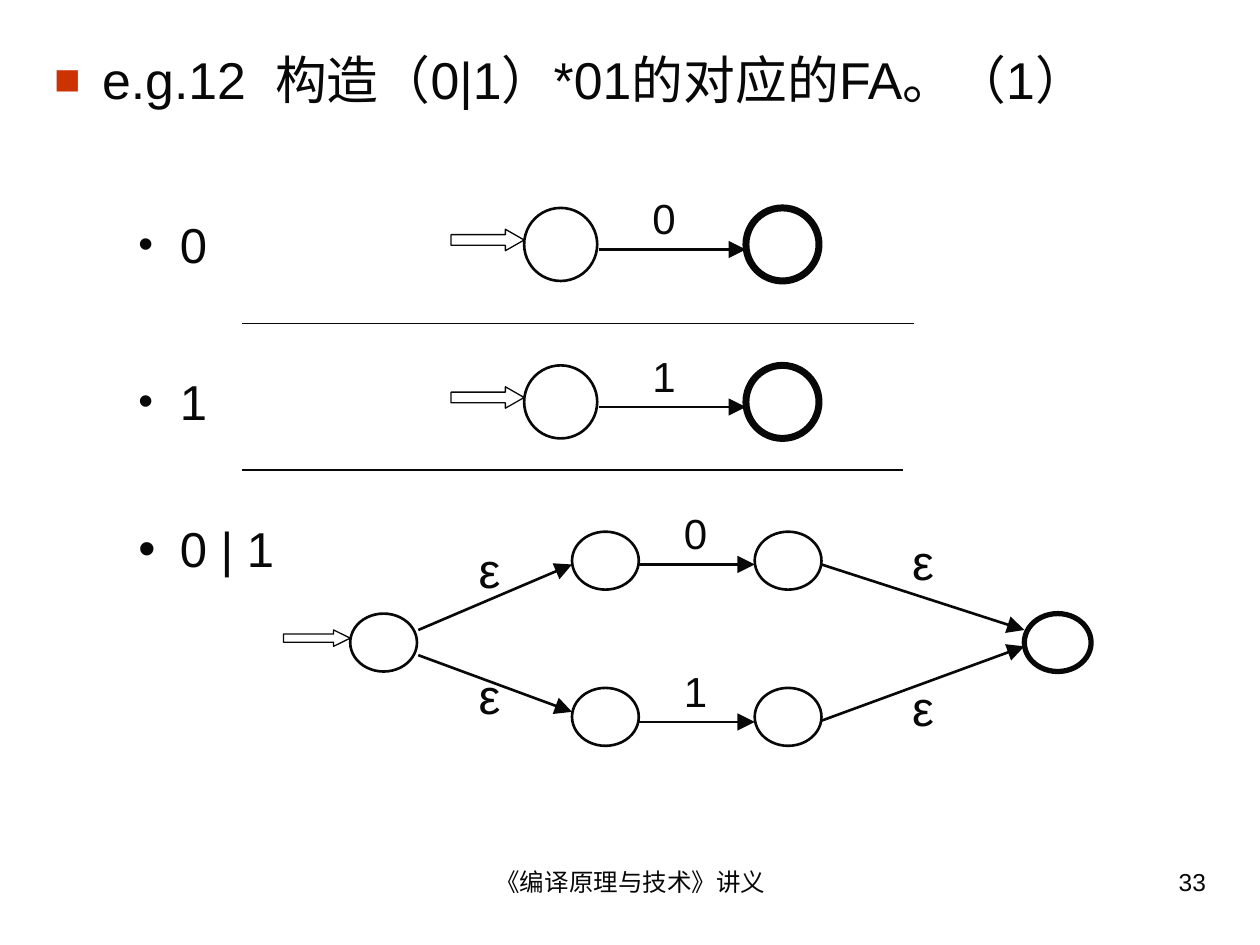
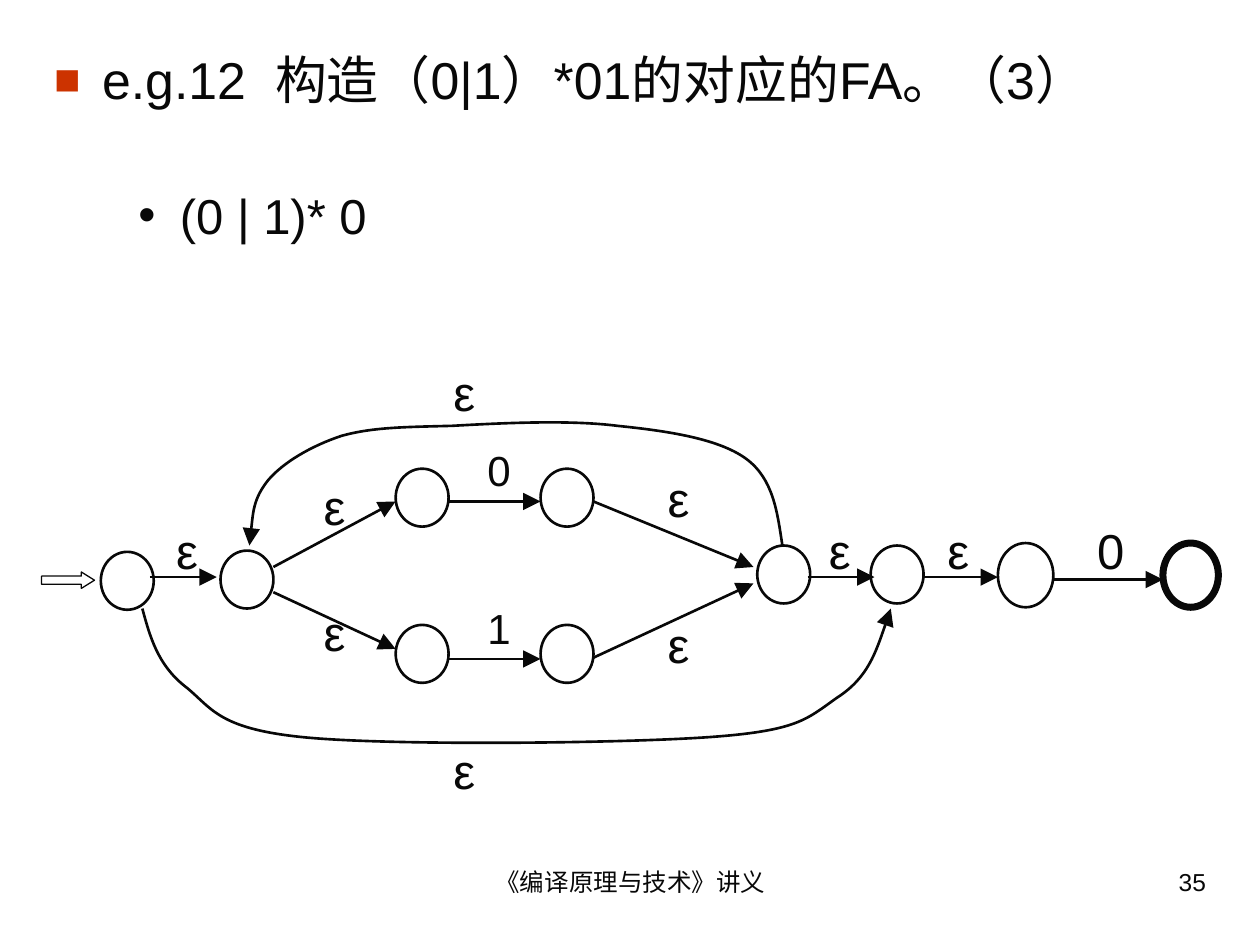
from dataclasses import dataclass
from typing import Any, NamedTuple

import pptx
import pptx.dml.color
import pptx.enum.shapes
import pptx.enum.text
import pptx.oxml.ns
import pptx.util

Inches = pptx.util.Inches
Pt = pptx.util.Pt
qn = pptx.oxml.ns.qn
SHAPE = pptx.enum.shapes.MSO_SHAPE
ALIGN = pptx.enum.text.PP_ALIGN
Point = tuple[float, float]


@dataclass(frozen=True)
class Theme:
    ink: str = "080808"
    accent: str = "CC3300"
    font: str = "Arial"
    head: float = 29.6
    large: float = 28
    mid: float = 24
    foot: float = 14
    thin: float = 0.75
    line: float = 1.5


THEME = Theme()


class Box(NamedTuple):
    left: float
    top: float
    width: float
    height: float


class Node(NamedTuple):
    box: Box
    weight: float = THEME.line


class Edge(NamedTuple):
    start: Point
    end: Point


class Label(NamedTuple):
    text: str
    left: float
    top: float
    width: float
    size: float = THEME.large


class Fork(NamedTuple):
    """The 0 | 1 branches: columns from left to right, then the top edge."""
    start: float
    first: float
    second: float
    end: float
    top: float
    wide: float
    marks: tuple[float, float, float]
    digit: float


def put(item: Any, values: dict[str, Any]) -> None:
    for name, value in values.items():
        setattr(item, name, value)


def color(value: str) -> pptx.dml.color.RGBColor:
    return pptx.dml.color.RGBColor.from_string(value)


def place(box: Box) -> list[int]:
    return [Inches(value) for value in box]


def style(run: Any, size: float) -> None:
    put(run.font, {"name": THEME.font, "size": Pt(size), "bold": False})
    run.font.color.rgb = color(THEME.ink)


def bullet(para: Any, mark: str, tint: str, scale: int, indent: float) -> None:
    props = para._p.get_or_add_pPr()
    props.set("marL", str(Inches(indent)))
    props.set("indent", str(-Inches(indent)))
    paint = props.makeelement(qn("a:buClr"), {})
    paint.append(paint.makeelement(qn("a:srgbClr"), {"val": tint}))
    props.append(paint)
    for tag, values in (
        ("a:buSzPct", {"val": str(scale * 1000)}),
        ("a:buFont", {"typeface": THEME.font}),
        ("a:buChar", {"char": mark}),
    ):
        props.append(props.makeelement(qn(tag), values))


def write(slide: Any, text: str, box: Box, size: float,
          align: Any = ALIGN.LEFT, grow: bool = True) -> Any:
    frame = slide.shapes.add_textbox(*place(box)).text_frame
    fit = pptx.enum.text.MSO_AUTO_SIZE
    put(frame, {"word_wrap": True,
                "auto_size": fit.SHAPE_TO_FIT_TEXT if grow else fit.NONE})
    para = frame.paragraphs[0]
    para.alignment = align
    run = para.add_run()
    run.text = text
    style(run, size)
    return para


def mark(slide: Any, label: Label) -> Any:
    height = 0.57 if label.size == THEME.large else 0.5
    return write(slide, label.text,
                 Box(label.left, label.top, label.width, height), label.size)


def item(slide: Any, label: Label, scale: int = 100) -> None:
    bullet(mark(slide, label), "•", THEME.ink, scale, 0.33)


def stroke(shape: Any, weight: float) -> None:
    shape.line.width = Pt(weight)
    shape.line.color.rgb = color(THEME.ink)


def tip(shape: Any) -> None:
    """Put an arrowhead at the end of a line."""
    line = shape._element.spPr.find(qn("a:ln"))
    values = {"type": "triangle", "w": "lg", "len": "lg"}
    line.append(line.makeelement(qn("a:tailEnd"), values))


def outline(shape: Any, weight: float) -> None:
    shape.shadow.inherit = False
    shape.fill.background()
    stroke(shape, weight)


def state(slide: Any, node: Node) -> None:
    outline(slide.shapes.add_shape(SHAPE.OVAL, *place(node.box)), node.weight)


def entry(slide: Any, box: Box, head: float) -> None:
    """Block arrow that points at the start state."""
    shape = slide.shapes.add_shape(SHAPE.RIGHT_ARROW, *place(box))
    shape.adjustments[1] = head
    outline(shape, THEME.thin)


def link(slide: Any, edge: Edge, weight: float = THEME.line,
         arrow: bool = True) -> None:
    kind = pptx.enum.shapes.MSO_CONNECTOR.STRAIGHT
    ends = [Inches(value) for point in edge for value in point]
    shape = slide.shapes.add_connector(kind, *ends)
    stroke(shape, weight)
    if arrow:
        tip(shape)
    props = shape._element.spPr
    props.append(props.makeelement(qn("a:effectLst"), {}))


def curve(slide: Any, points: list[Point]) -> None:
    """Draw Bezier pieces: a start, then three points for each piece."""
    spots = [(Inches(x), Inches(y)) for x, y in points]
    pen = slide.shapes.build_freeform(*spots[0])
    pen.add_line_segments(spots[1:], close=False)
    shape = pen.convert_to_shape()
    trace = next(shape._element.iter(qn("a:path")))
    steps = trace.findall(qn("a:lnTo"))
    for index in range(0, len(steps), 3):
        bend = trace.makeelement(qn("a:cubicBezTo"), {})
        for step in steps[index:index + 3]:
            bend.append(step[0])
            trace.remove(step)
        trace.append(bend)
    outline(shape, THEME.line)
    tip(shape)


def branch(slide: Any, fork: Fork) -> None:
    top, wide = fork.top, fork.wide
    near, centre, far = fork.marks
    out = fork.second + wide
    for digit, drop, leave, reach, turn, back, low, high, span in (
        ("0", 0, 0.78, 0.26, 0.26, 0.78, 0.01, -0.05, -0.24),
        ("1", 1.24, 0.98, 1.43, 1.5, 0.91, 1.01, 1.11, 1.01),
    ):
        for left in (fork.first, fork.second):
            state(slide, Node(Box(left, top + drop, wide, 0.46)))
        flat = top + span + 0.5
        for edge in (
            Edge((fork.start, top + leave), (fork.first, top + reach)),
            Edge((fork.first + wide, flat), (fork.second, flat)),
            Edge((out, top + turn), (fork.end, top + back)),
        ):
            link(slide, edge)
        for label in (
            Label("ε", near, top + low, wide),
            Label(digit, centre, top + span, fork.digit, THEME.mid),
            Label("ε", far, top + high, wide),
        ):
            mark(slide, label)


def begin(deck: Any, part: int, page: int) -> Any:
    """Add a slide with its heading and footers."""
    slide = deck.slides.add_slide(deck.slide_layouts[5])
    title = slide.shapes.title
    box = place(Box(0.33, 0.33, 9.34, 0.83))
    put(title, dict(zip(("left", "top", "width", "height"), box)))
    put(title.text_frame, {
        "vertical_anchor": pptx.enum.text.MSO_ANCHOR.TOP,
        "auto_size": pptx.enum.text.MSO_AUTO_SIZE.NONE,
        "word_wrap": True,
    })
    para = title.text_frame.paragraphs[0]
    para.alignment = ALIGN.LEFT
    bullet(para, "■", THEME.accent, 85, 0.38)
    for text in ("e.g.12", " ", f"构造（0|1）*01的对应的FA。（{part}）"):
        run = para.add_run()
        run.text = text
        style(run, THEME.head)
        if text == " ":
            run._r.get_or_add_rPr().set("spc", "820")
    write(slide, "《编译原理与技术》讲义", Box(3.42, 6.83, 3.17, 0.52),
          THEME.foot, ALIGN.CENTER, False)
    write(slide, str(page), Box(7.17, 6.83, 2.5, 0.52),
          THEME.foot, ALIGN.RIGHT, False)
    return slide


def basic(deck: Any) -> None:
    slide = begin(deck, 1, 33)
    for digit, top in (("0", 1.65), ("1", 2.9)):
        item(slide, Label(digit, 1, top, 0.92), 86)
        entry(slide, Box(3.58, top + 0.17, 0.58, 0.17), 0.875)
        state(slide, Node(Box(4.16, top, 0.58, 0.58)))
        state(slide, Node(Box(5.92, top, 0.58, 0.58), 4))
        link(slide, Edge((4.75, top + 0.33), (5.92, top + 0.33)))
        mark(slide, Label(digit, 5.08, top - 0.17, 0.5, THEME.mid))
    for right, y in ((7.25, 2.57), (7.17, 3.73)):
        link(slide, Edge((1.92, y), (right, y)), THEME.thin, False)

    item(slide, Label("0 | 1", 1, 4.07, 1.33))
    entry(slide, Box(2.25, 5, 0.53, 0.13), 1.013)
    state(slide, Node(Box(2.78, 4.87, 0.53, 0.46)))
    state(slide, Node(Box(8.13, 4.87, 0.53, 0.46), 3))
    branch(slide, Fork(3.32, 4.54, 5.99, 8.13, 4.22, 0.53,
                       (3.7, 5.33, 7.14), 0.5))


def closure(deck: Any) -> None:
    slide = begin(deck, 3, 35)
    item(slide, Label("(0 | 1)* 0", 1, 1.42, 3.5))
    entry(slide, Box(0.33, 4.54, 0.42, 0.13), 0.803)
    for left, top in ((0.8, 4.38), (1.75, 4.37), (6.01, 4.33), (6.91, 4.33)):
        state(slide, Node(Box(left, top, 0.42, 0.46)))
    for left, weight in ((7.92, THEME.line), (9.23, 4)):
        state(slide, Node(Box(left, 4.31, 0.44, 0.51), weight))
    branch(slide, Fork(2.17, 3.14, 4.29, 5.98, 3.72, 0.42,
                       (2.47, 3.77, 5.2), 0.4))
    for start, end, y in ((1.19, 1.72, 4.58), (6.41, 6.94, 4.58),
                          (7.33, 7.92, 4.58), (8.36, 9.23, 4.6)):
        link(slide, Edge((start, y), (end, y)))
    for left in (1.3, 6.48, 7.42):
        mark(slide, Label("ε", left, 4.08, 0.42))
    mark(slide, Label("0", 8.61, 4.08, 0.64))
    for top in (2.83, 5.83):
        mark(slide, Label("ε", 3.5, top, 0.86))
    curve(slide, [
        (6.21, 4.33), (6.17, 4.07), (6.14, 3.8), (5.92, 3.64),
        (5.7, 3.48), (5.29, 3.42), (4.9, 3.38),
        (4.51, 3.33), (3.95, 3.36), (3.59, 3.38),
        (3.22, 3.39), (2.96, 3.39), (2.71, 3.46),
        (2.47, 3.54), (2.25, 3.67), (2.13, 3.81),
        (2.01, 3.96), (2, 4.15), (1.98, 4.33),
    ])
    curve(slide, [
        (1.13, 4.83), (1.19, 5.05), (1.25, 5.27), (1.46, 5.44),
        (1.68, 5.61), (1.71, 5.78), (2.4, 5.85),
        (3.09, 5.92), (4.92, 5.9), (5.63, 5.85),
        (6.33, 5.8), (6.4, 5.71), (6.64, 5.54),
        (6.89, 5.38), (6.98, 5.1), (7.07, 4.83),
    ])


def main() -> None:
    deck = pptx.Presentation()
    put(deck, {"slide_width": Inches(10), "slide_height": Inches(7.5)})
    basic(deck)
    closure(deck)
    deck.save("out.pptx")


if __name__ == "__main__":
    main()
